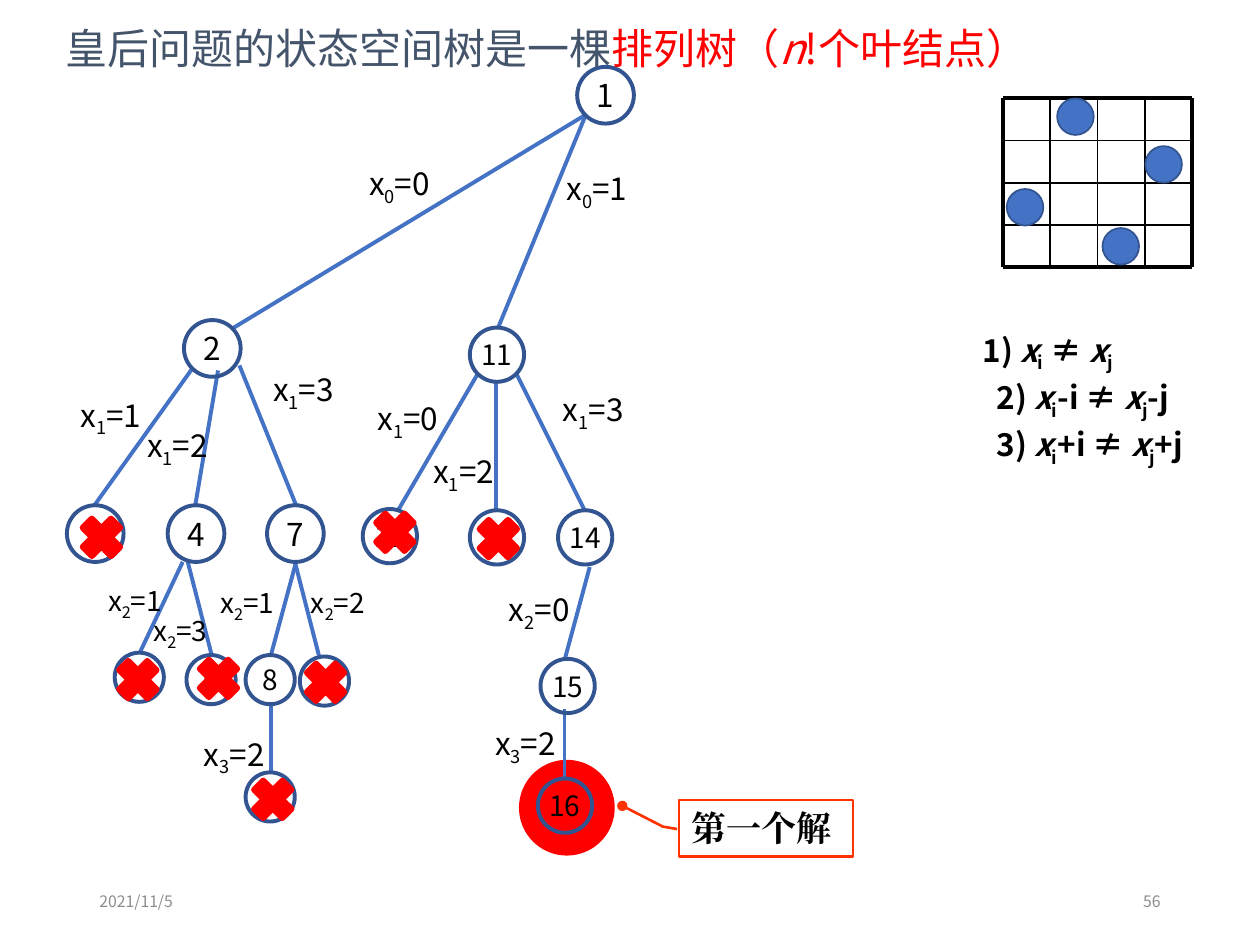
from lxml import etree
from pptx import Presentation
from pptx.dml.color import RGBColor
from pptx.enum import shapes, text
from pptx.oxml import ns
from pptx.util import Pt

SANS, SERIF = "Noto Sans CJK SC", "Times New Roman"
BLACK, WHITE = RGBColor(0, 0, 0), RGBColor(255, 255, 255)
RED, ORANGE = RGBColor(255, 0, 0), RGBColor(255, 0x33, 0)
BLUE, NAVY = RGBColor(0x44, 0x72, 0xC4), RGBColor(0x32, 0x54, 0x91)
SLATE, GRAY = RGBColor(0x44, 0x54, 0x6A), RGBColor(0x8C, 0x8C, 0x8C)
SHAPE = shapes.MSO_SHAPE
ALIGN, ANCHOR = text.PP_ALIGN, text.MSO_ANCHOR
SUB = {"sub": True}
ITALIC = {"italic": True}

# Tree nodes: label, centre x, centre y, diameter, text size
NODES = [
    ("1", 346, 54.4, 32.4, 18), ("2", 121.3, 199.1, 32.4, 18),
    ("3", 54.4, 304.9, 32.4, 18), ("4", 112, 304.9, 32.4, 18),
    ("7", 168.8, 304.9, 32.4, 18), ("5", 79.6, 387, 28.1, 16),
    ("6", 120.6, 388.4, 28.1, 16), ("8", 154.4, 388.4, 28.1, 16),
    ("9", 154.4, 455.4, 28.1, 16), ("10", 185.4, 389.2, 28.1, 16),
    ("11", 284, 202.7, 31, 16), ("12", 222.8, 306.4, 31, 16),
    ("13", 284, 307.1, 31, 16), ("14", 334.4, 307.1, 31, 16),
    ("15", 324.4, 392, 31, 16), ("16", 322.9, 460.4, 31, 16),
]
# Branches: start x, start y, end x, end y
BRANCHES = [
    (334.8, 65.5, 132.5, 187.9), (334.8, 65.5, 284.4, 187.9),
    (110.2, 210.2, 54, 288.7), (124.6, 211.7, 111.6, 288.7),
    (136.8, 208.8, 169.2, 288.7), (104.4, 321.1, 79.9, 373),
    (107.3, 321.1, 121, 374.4), (169.2, 321.1, 154.8, 374.4),
    (168.5, 321.1, 182.2, 374.4), (154.8, 402.5, 154.8, 441.4),
    (272.9, 213.8, 227.5, 291.6), (283.7, 218.2, 283.7, 291.6),
    (295.2, 213.8, 334.1, 291.6), (337, 324, 322.6, 377.3),
    (322.6, 405.4, 322.6, 444.2),
]
# Centres of the crosses on pruned nodes
CROSSES = [(58, 307.1), (78.8, 388.4), (124.9, 387.7), (155.9, 456.8),
           (186.1, 389.9), (225.7, 304.2), (284.8, 307.8)]
# Branch labels: left, top, index, value, text size
LABELS = [
    (203.8, 90, 0, 0, 18), (316.8, 92.9, 0, 1, 18),
    (38.9, 222.5, 1, 1, 18), (77, 239.8, 1, 2, 18),
    (149, 208.1, 1, 3, 18), (208.8, 224.6, 1, 0, 18),
    (240.5, 254.9, 1, 2, 18), (314.6, 219.6, 1, 3, 18),
    (54.7, 329.8, 2, 1, 16), (80.6, 347, 2, 3, 16),
    (118.8, 331.2, 2, 1, 16), (170.6, 331.2, 2, 2, 16),
    (283.7, 333.4, 2, 0, 18), (109.4, 416.2, 3, 2, 18),
    (275.8, 410.4, 3, 2, 18),
]
QUEENS = [(604.1, 56.2), (654.5, 83.5), (575.3, 108), (630, 130.3)]
BOARD_LEFT, BOARD_TOP, CELL_WIDTH, CELL_HEIGHT, CELLS = 573.1, 56.2, 27, 24.1, 4
# Constraints: number, text after x_i, text after x_j, indent
RULES = [("1) ", " ≠ ", "", 0), ("2) ", "-i ≠ ", "-j", 8), ("3) ", "+i ≠ ", "+j", 8)]


def add_run(paragraph, words, size=18, name=SANS, color=BLACK, sub=False, **formats):
    run = paragraph.add_run()
    run.text = words
    for key, value in {"size": Pt(size), "name": name, **formats}.items():
        setattr(run.font, key, value)
    run.font.color.rgb = color
    properties = run.font._element
    if sub:
        properties.set("baseline", "-25000")
    etree.SubElement(properties, ns.qn("a:ea")).set("typeface", name)


def add_text(slide, box, runs, align=ALIGN.LEFT, anchor=ANCHOR.TOP, spacing=None):
    """Text box with one paragraph of (words, formats) runs; returns its frame."""
    frame = slide.shapes.add_textbox(*map(Pt, box)).text_frame
    frame.word_wrap = True
    frame.vertical_anchor = anchor
    fill_paragraph(frame.paragraphs[0], runs, align, spacing)
    return frame


def fill_paragraph(paragraph, runs, align=ALIGN.LEFT, spacing=None):
    paragraph.alignment = align
    paragraph.line_spacing = spacing
    for words, formats in runs:
        add_run(paragraph, words, **formats)


def add_shape(parent, kind, box, fill=None, line=None, weight=1):
    shape = parent.shapes.add_shape(kind, *map(Pt, box))
    shape.shadow.inherit = False
    if fill is None:
        shape.fill.background()
    else:
        shape.fill.solid()
        shape.fill.fore_color.rgb = fill
    if line is None:
        shape.line.fill.background()
    else:
        shape.line.color.rgb = line
        shape.line.width = Pt(weight)
    return shape


def add_line(parent, ends, color, weight):
    line = parent.shapes.add_connector(shapes.MSO_CONNECTOR.STRAIGHT, *map(Pt, ends))
    line.line.color.rgb = color
    line.line.width = Pt(weight)
    etree.SubElement(line._element.spPr, ns.qn("a:effectLst"))


def centred(x, y, size):
    return x - size / 2, y - size / 2, size, size


def add_node(slide, label, x, y, diameter, size):
    shape = add_shape(slide, SHAPE.OVAL, centred(x, y, diameter), line=NAVY, weight=2.25)
    frame = shape.text_frame
    for side in ("left", "top", "right", "bottom"):
        setattr(frame, f"margin_{side}", 0)
    frame.vertical_anchor = ANCHOR.MIDDLE
    fill_paragraph(frame.paragraphs[0], [(label, {"size": size})], ALIGN.CENTER)


def add_cross(slide, x, y):
    shape = add_shape(slide, SHAPE.MATH_MULTIPLY, centred(x, y, 31), RED, RED, 3.5)
    etree.SubElement(shape.line._get_or_add_ln(), ns.qn("a:round"))


def add_callout(slide):
    shape = add_shape(slide, SHAPE.LINE_CALLOUT_2, (388.1, 457.2, 99.4, 32.4),
                      WHITE, ORANGE, 1.5)
    for index, value in enumerate((0.511, -0.012, 0.468, -0.094, 0.102, -0.327)):
        shape.adjustments[index] = round(value, 2) if index < 0 else value
    etree.SubElement(shape.line._get_or_add_ln(), ns.qn("a:tailEnd")).set("type", "oval")
    shape.text_frame.vertical_anchor = ANCHOR.TOP
    fill_paragraph(shape.text_frame.paragraphs[0],
                   [("第一个解", {"size": 20, "name": SERIF, "bold": True})])


def add_board(slide):
    board = slide.shapes.add_group_shape()
    xs = [BOARD_LEFT + CELL_WIDTH * i for i in range(CELLS + 1)]
    ys = [BOARD_TOP + CELL_HEIGHT * i for i in range(CELLS + 1)]
    for y in ys[:-1]:
        for x in xs[:-1]:
            add_shape(board, SHAPE.RECTANGLE, (x, y, CELL_WIDTH, CELL_HEIGHT), WHITE)
    for i, (x, y) in enumerate(zip(xs, ys)):
        weight = 2.25 if i in (0, CELLS) else 1
        add_line(board, (xs[0], y, xs[-1], y), BLACK, weight)
        add_line(board, (x, ys[0], x, ys[-1]), BLACK, weight)
    for left, top in QUEENS:
        add_shape(slide, SHAPE.OVAL, (left, top, 20.9, 20.9), BLUE, NAVY)


def add_rules(slide):
    frame = add_text(slide, (554.4, 182.9, 135.4, 77.8), [])
    for number, middle, end, indent in RULES:
        first = number == RULES[0][0]
        paragraph = frame.paragraphs[0] if first else frame.add_paragraph()
        runs = [(number, {}), ("x", ITALIC), ("i", SUB), (middle, {}),
                ("x", ITALIC), ("j", SUB), (end, {})]
        fill_paragraph(paragraph, [(words, {"bold": True, **formats})
                                   for words, formats in runs if words], spacing=1.1)
        paragraph._p.get_or_add_pPr().set("marL", str(Pt(indent)))


def main():
    presentation = Presentation()
    presentation.slide_width, presentation.slide_height = Pt(720), Pt(540)
    slide = presentation.slides.add_slide(presentation.slide_layouts[6])

    # Date and page number
    small = {"size": 9, "color": GRAY}
    add_text(slide, (49.7, 500.4, 162, 28.8), [("2021/11/5", small)], anchor=ANCHOR.MIDDLE)
    add_text(slide, (508.3, 500.4, 162, 28.8), [("56", small)], ALIGN.RIGHT, ANCHOR.MIDDLE)

    # State space tree, with the solution highlighted
    add_shape(slide, SHAPE.OVAL, (296.6, 434.2, 54.7, 54.7), RED)
    for branch in BRANCHES:
        add_line(slide, branch, BLUE, 2.25)
    for node in NODES:
        add_node(slide, *node)
    for cross in CROSSES:
        add_cross(slide, *cross)
    add_callout(slide)
    for left, top, index, value, size in LABELS:
        style = {"size": size}
        add_text(slide, (left, top, 61.9, size * 1.6),
                 [("x", style), (str(index), {**style, **SUB}), (f"={value}", style)])

    # Title
    red = {"size": 24, "color": RED}
    add_text(slide, (30.2, 3.6, 583.9, 49),
             [("皇后问题的状态空间树是一棵", {"size": 24, "color": SLATE}),
              ("排列树（", red), ("n", {**red, **ITALIC}), ("!个叶结点）", red)],
             ALIGN.JUSTIFY, spacing=1.2)

    # Chessboard and constraints
    add_board(slide)
    add_rules(slide)
    presentation.save("out.pptx")


if __name__ == "__main__":
    main()
